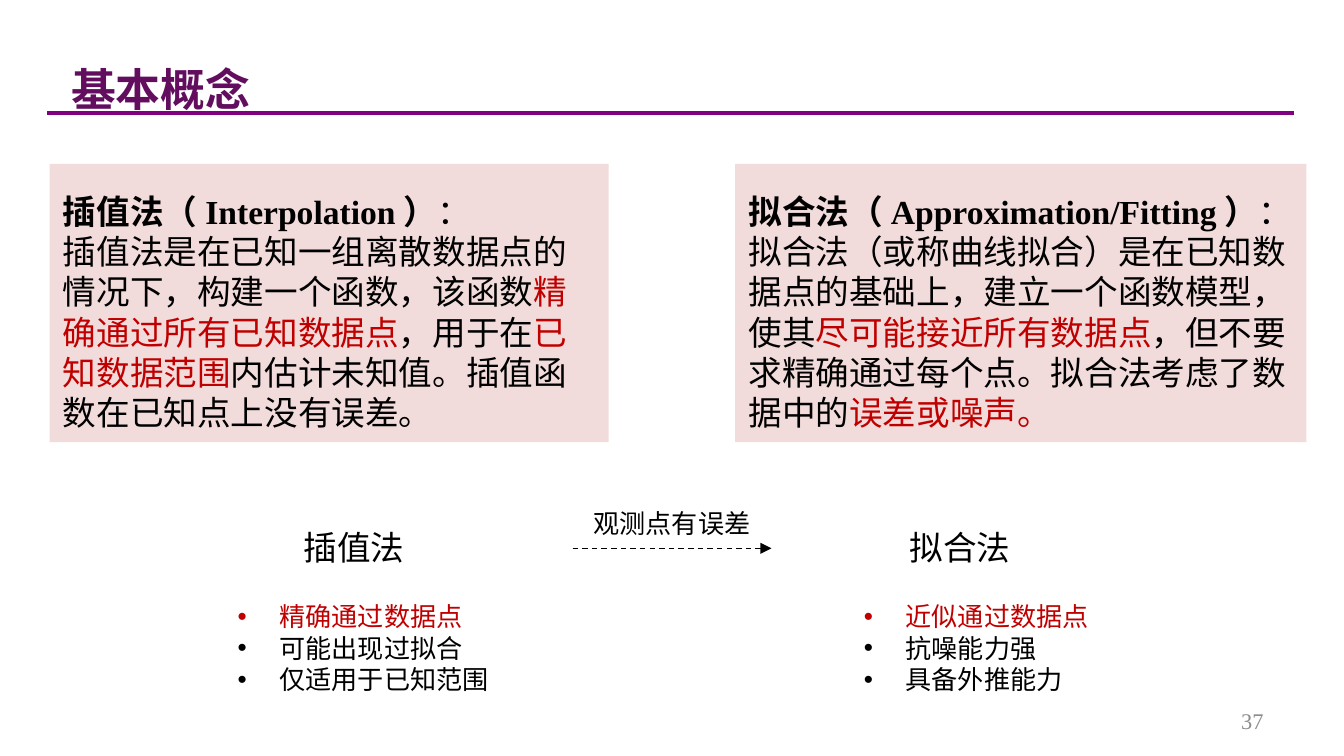
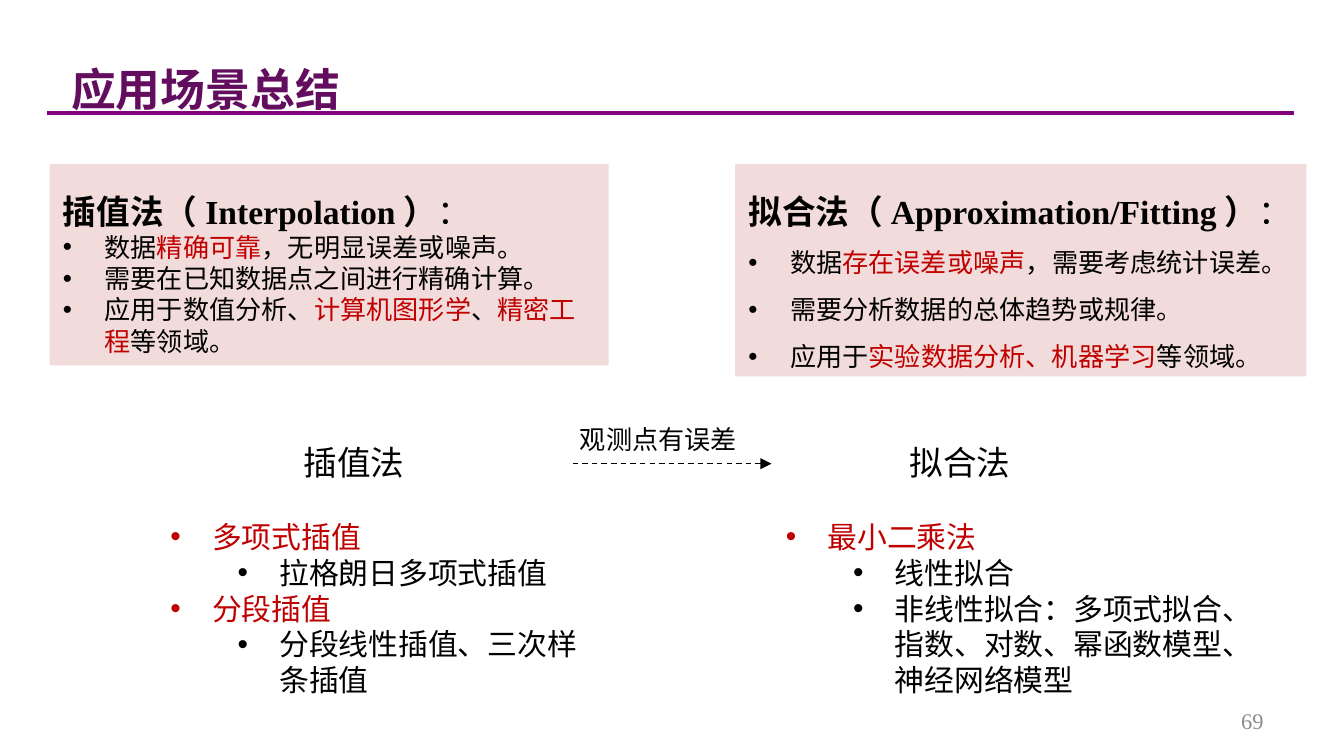
from dataclasses import dataclass
from lxml import etree
from pptx import Presentation
from pptx import util as u
from pptx.dml.color import RGBColor
from pptx.enum import dml, shapes, text
from pptx.oxml import ns

PX = 9144
WIDE = 1000 * PX
ROMAN, SANS = "Times New Roman", "Calibri"
HUES = {
    "rule": "800080",
    "title": "630D5F",
    "page": "8C8C8C",
    "card": "F2DCDB",
    "ink": "000000",
    "red": "C00000",
}
ALIGN = text.PP_ALIGN


@dataclass(frozen=True)
class Para:
    words: str
    size: int = 14
    face: str = ROMAN
    hue: str = "ink"
    bold: bool = False
    tail: str = ""
    lead: float = 1.0
    align: ALIGN = ALIGN.LEFT
    dent: int = 0
    level: int = 0


@dataclass(frozen=True)
class Box:
    x: int
    y: int
    w: int
    h: int
    paras: tuple[Para, ...]
    fill: str = ""
    wrap: bool = True
    grow: bool = True
    middle: bool = False


@dataclass(frozen=True)
class Rule:
    x: int
    y: int
    end: int
    hue: str
    width: float
    arrow: bool = False


@dataclass(frozen=True)
class Page:
    title: str
    number: int
    cards: tuple[Box, ...]
    flow: int
    label: int
    lists: tuple[Box, ...]


def color(name: str) -> RGBColor:
    return RGBColor.from_string(HUES[name])


def apply(target, format: dict) -> None:
    for key, value in format.items():
        setattr(target, key, value)


def add_run(line, words: str, para: Para, hue: str, bold: bool) -> None:
    run = line.add_run()
    run.text = words
    apply(run.font, {"name": para.face, "size": u.Pt(para.size), "bold": bold})
    run.font.color.rgb = color(hue)


def add_para(line, para: Para) -> None:
    apply(line, {"alignment": para.align, "level": para.level, "line_spacing": para.lead})
    if para.dent:
        props = line._p.get_or_add_pPr()
        props.set("marL", str(para.dent * PX))
        props.set("indent", str(-31 * PX))
        etree.SubElement(props, ns.qn("a:buFont")).set("typeface", "Arial")
        etree.SubElement(props, ns.qn("a:buChar")).set("char", "•")
    for place, words in enumerate(para.words.split("|")):
        if words:
            add_run(line, words, para, "red" if place % 2 else para.hue, para.bold)
    if para.tail:
        add_run(line, para.tail, para, para.hue, False)


def draw_box(slide, box: Box) -> None:
    area = [side * PX for side in (box.x, box.y, box.w, box.h)]
    if box.fill:
        shape = slide.shapes.add_shape(shapes.MSO_SHAPE.RECTANGLE, *area)
        shape.shadow.inherit = False
        shape.fill.solid()
        shape.fill.fore_color.rgb = color(box.fill)
        shape.line.fill.background()
    else:
        shape = slide.shapes.add_textbox(*area)
    frame = shape.text_frame
    fit, anchor = text.MSO_AUTO_SIZE, text.MSO_ANCHOR
    apply(frame, {
        "word_wrap": box.wrap,
        "auto_size": fit.SHAPE_TO_FIT_TEXT if box.grow else fit.NONE,
        "vertical_anchor": anchor.MIDDLE if box.middle else anchor.TOP,
    })
    for place, para in enumerate(box.paras):
        add_para(frame.add_paragraph() if place else frame.paragraphs[0], para)


def draw_rule(slide, rule: Rule) -> None:
    line = slide.shapes.add_connector(
        shapes.MSO_CONNECTOR.STRAIGHT, rule.x * PX, rule.y * PX, rule.end * PX, rule.y * PX)
    line.line.color.rgb = color(rule.hue)
    line.line.width = u.Pt(rule.width)
    if rule.arrow:
        line.line.dash_style = dml.MSO_LINE.DASH
        etree.SubElement(line.line._get_or_add_ln(), ns.qn("a:tailEnd")).set("type", "triangle")
    etree.SubElement(line._element.spPr, ns.qn("a:effectLst"))


def head(words: str) -> Para:
    return Para(words, 18, bold=True, tail="：", lead=1.5)


def item(words: str, size: int = 14, face: str = ROMAN, lead: float = 1.0) -> Para:
    return Para(words, size, face, lead=lead, dent=31)


def sub(words: str) -> Para:
    return Para(words, 16, dent=81, level=1)


def cards(left: tuple[Para, ...], right: tuple[Para, ...], tall: tuple[int, int]) -> tuple[Box, ...]:
    return (
        Box(37, 122, 416, tall[0], (head("插值法（Interpolation）"), *left), "card"),
        Box(547, 122, 425, tall[1], (head("拟合法（Approximation/Fitting）"), *right), "card"),
    )


def draw_page(deck, page: Page) -> None:
    slide = deck.slides.add_slide(deck.slide_layouts[6])
    draw_rule(slide, Rule(35, 84, 963, "rule", 2.25))
    title = Para(page.title, 24, hue="title", bold=True, lead=1.5)
    number = Para(str(page.number), 12, hue="page", align=ALIGN.RIGHT)
    draw_box(slide, Box(43, 21, 402, 63, (title,)))
    draw_box(slide, Box(717, 521, 233, 30, (number,), grow=False, middle=True))
    for card in page.cards:
        draw_box(slide, card)
    for x, name in ((216, "插值法"), (667, "拟合法")):
        draw_box(slide, Box(x, page.flow - 21, 96, 40, (Para(name, 18, SANS),), wrap=False))
    draw_rule(slide, Rule(426, page.flow, 574, "ink", 0.75, True))
    for box in page.lists:
        draw_box(slide, box)
    label = Para("观测点有误差", align=ALIGN.CENTER)
    draw_box(slide, Box(page.label, page.flow - 35, 192, 34, (label,)))


PAGES = (
    Page(
        "基本概念", 37,
        cards(
            (Para("插值法是在已知一组离散数据点的情况下，构建一个函数，该函数|精确通过所有已知数据点|"
                  "，用于在|已知数据范围|内估计未知值。插值函数在已知点上没有误差。", 18),),
            (Para("拟合法（或称曲线拟合）是在已知数据点的基础上，建立一个函数模型，使其|尽可能接近所有数据点|"
                  "，但不要求精确通过每个点。拟合法考虑了数据中的|误差或噪声。|", 18),),
            (207, 207),
        ),
        408, 404,
        (
            Box(633, 442, 205, 81, tuple(map(item, ("|近似通过数据点|", "抗噪能力强", "具备外推能力")))),
            Box(167, 442, 222, 81, tuple(map(item, ("|精确通过数据点|", "可能出现过拟合", "仅适用于已知范围")))),
        ),
    ),
    Page(
        "应用场景总结", 69,
        cards(
            tuple(item(words, face=SANS) for words in (
                "数据|精确可靠|，无明显误差或噪声。",
                "需要在已知数据点之间进行精确计算。",
                "应用于数值分析、|计算机图形学|、|精密工程|等领域。")),
            tuple(item(words, face=SANS, lead=1.5) for words in (
                "数据|存在误差或噪声|，需要考虑统计误差。",
                "需要分析数据的总体趋势或规律。",
                "应用于|实验数据分析、机器学习|等领域。")),
            (150, 158),
        ),
        345, 394,
        (
            Box(575, 381, 370, 145, (
                item("|最小二乘法|", 16), sub("线性拟合"),
                sub("非线性拟合：多项式拟合、指数、对数、幂函数模型、神经网络模型"))),
            Box(117, 381, 331, 145, (
                item("|多项式插值|", 16), sub("拉格朗日多项式插值"),
                item("|分段插值|", 16), sub("分段线性插值、三次样条插值"))),
        ),
    ),
)


def main() -> None:
    deck = Presentation()
    apply(deck, {"slide_width": WIDE, "slide_height": WIDE * 9 // 16})
    for page in PAGES:
        draw_page(deck, page)
    deck.save("out.pptx")


if __name__ == "__main__":
    main()
